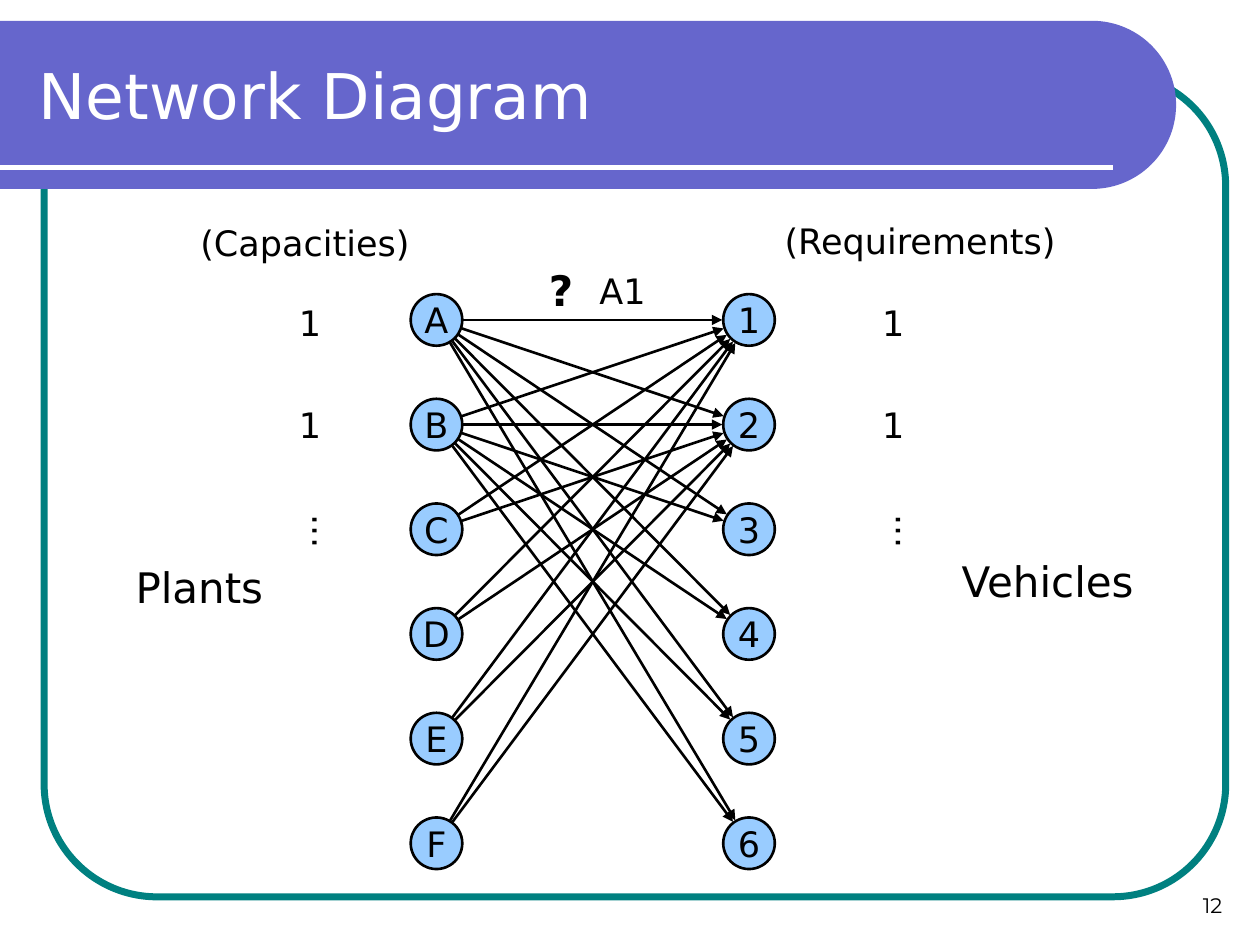
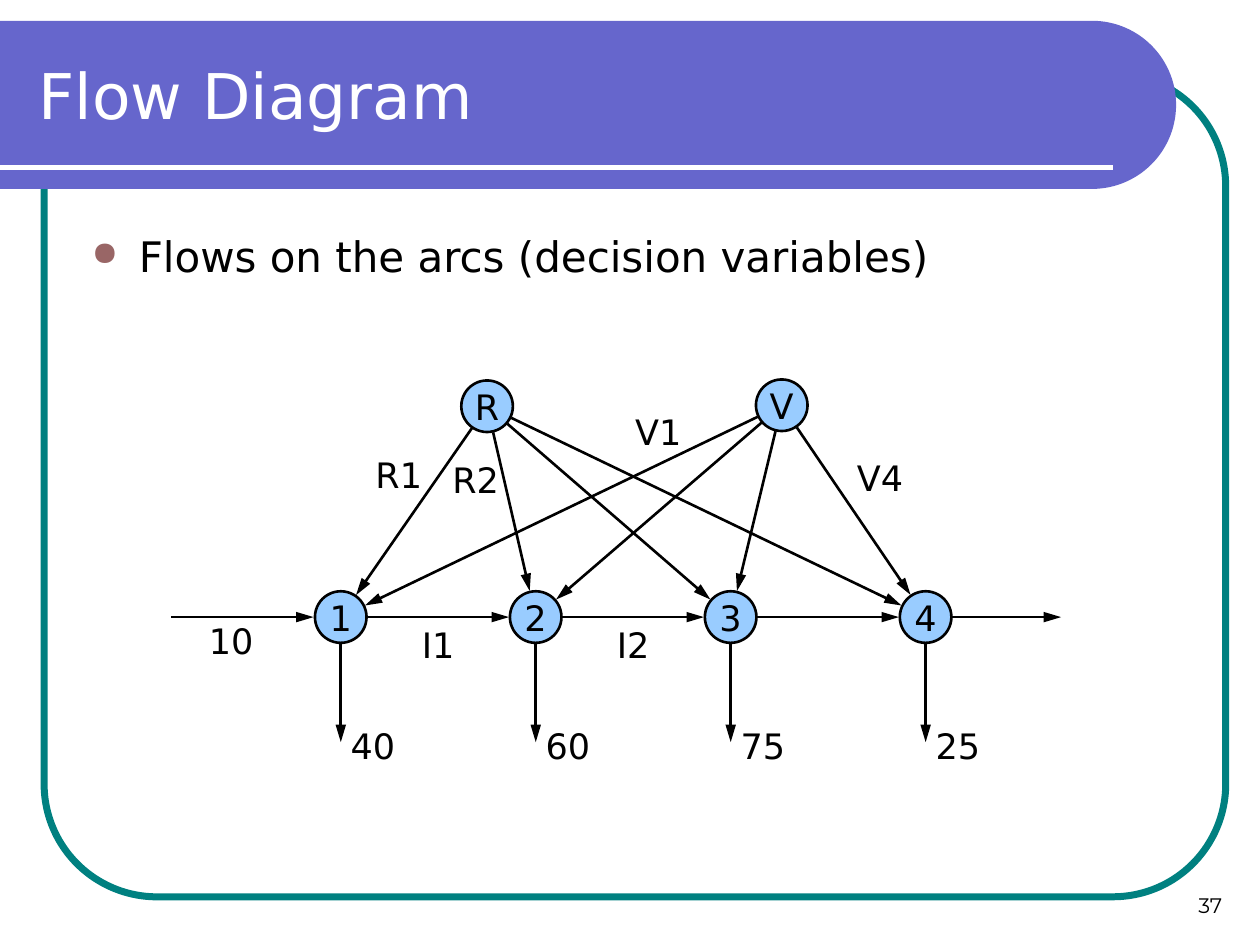
import math
from dataclasses import dataclass

from lxml import etree
from pptx import Presentation
from pptx import util as u
from pptx.dml.color import RGBColor
from pptx.enum import shapes, text
from pptx.oxml import ns

BODY_FONT, NUMBER_FONT = "DejaVu Sans", "Montserrat"
BLACK, WHITE = "000000", "FFFFFF"
BAND, FRAME, NODE, BULLET = "6666CC", "008080", "99CCFF", "996666"
NODE_SIZE = 1.04
NODE_GAP = 0.02  # space between a node and its arcs
CENTER = text.PP_ALIGN.CENTER
MIDDLE = text.MSO_ANCHOR.MIDDLE


@dataclass
class Box:
    """Region of a slide, in centimetres."""
    left: float
    top: float
    width: float
    height: float

    def at(self, x, y):
        return self.left + x, self.top + y


def color(value):
    return RGBColor.from_string(value)


def cm(*lengths):
    return [u.Cm(length) for length in lengths]


def paint(shape, fill=None, line=None, weight=1.5):
    shape.shadow.inherit = False
    if fill:
        shape.fill.solid()
        shape.fill.fore_color.rgb = color(fill)
    else:
        shape.fill.background()
    if line:
        shape.line.color.rgb = color(line)
        shape.line.width = u.Pt(weight)
    else:
        shape.line.fill.background()


def write(frame, words, size=20, ink=BLACK, font=BODY_FONT, bold=False, align=None):
    paragraph = frame.paragraphs[0]
    paragraph.alignment = align
    run = paragraph.add_run()
    run.text = words
    run.font.size = u.Pt(size)
    run.font.name = font
    run.font.bold = bold
    run.font.color.rgb = color(ink)
    return paragraph


def text_frame(slide, box, anchor=text.MSO_ANCHOR.TOP):
    frame = slide.shapes.add_textbox(
        *cm(box.left, box.top, box.width, box.height)).text_frame
    frame.word_wrap = True
    frame.vertical_anchor = anchor
    return frame


def label(slide, words, middle_top, width=1.6, size=20, bold=False):
    """One line of text centred on x, with its box starting at y."""
    x, y = middle_top
    frame = text_frame(slide, Box(x - width / 2, y, width, 1.1))
    write(frame, words, size, bold=bold, align=CENTER)


def line(slide, start, end, ink=BLACK, weight=1.5):
    connector = slide.shapes.add_connector(
        shapes.MSO_CONNECTOR.STRAIGHT, *cm(*start, *end))
    connector.line.color.rgb = color(ink)
    connector.line.width = u.Pt(weight)
    etree.SubElement(connector._element.spPr, ns.qn("a:effectLst"))
    return connector


def arrow(slide, start, end, head="med"):
    ln = line(slide, start, end).line._get_or_add_ln()
    etree.SubElement(ln, ns.qn("a:tailEnd"), type="triangle", w="med", len=head)


def arc(slide, start, end, head="med"):
    """Arrow between two node centres, cut off at the rims."""
    (x1, y1), (x2, y2) = start, end
    share = (NODE_SIZE / 2 + NODE_GAP) / math.dist(start, end)
    dx, dy = (x2 - x1) * share, (y2 - y1) * share
    arrow(slide, (x1 + dx, y1 + dy), (x2 - dx, y2 - dy), head)


def node(slide, name, center):
    x, y = center
    circle = slide.shapes.add_shape(
        shapes.MSO_SHAPE.OVAL,
        *cm(x - NODE_SIZE / 2, y - NODE_SIZE / 2, NODE_SIZE, NODE_SIZE))
    paint(circle, NODE, BLACK)
    circle.text_frame.word_wrap = False
    circle.text_frame.vertical_anchor = MIDDLE
    write(circle.text_frame, name, align=CENTER)


def title_band(slide, box):
    """Band with a half-round right end and a white rule."""
    radius = box.height / 2
    middle_x, middle_y = box.at(box.width - radius, radius)
    angles = [math.radians(degree) for degree in range(-90, 91, 3)]
    rim = [cm(middle_x + radius * math.cos(a), middle_y + radius * math.sin(a))
           for a in angles]
    outline = slide.shapes.build_freeform(*cm(box.left, box.top))
    outline.add_line_segments(rim + [cm(*box.at(0, box.height))], close=True)
    paint(outline.convert_to_shape(), BAND)
    line(slide, box.at(0, 2.96), box.at(22.43, 2.96), WHITE, 3)


def base_slide(deck, title, number):
    slide = deck.slides.add_slide(deck.slide_layouts[6])
    # Rounded frame behind the band
    frame = slide.shapes.add_shape(
        shapes.MSO_SHAPE.ROUNDED_RECTANGLE, *cm(0.89, 1.48, 23.82, 16.6))
    frame.adjustments[0] = 0.137
    paint(frame, line=FRAME, weight=4)
    title_band(slide, Box(0, 0.42, 23.71, 3.39))
    # Page number and title
    write(text_frame(slide, Box(18.97, 17.35, 5.92, 1.27), text.MSO_ANCHOR.BOTTOM),
          number, 12, font=NUMBER_FONT, align=text.PP_ALIGN.RIGHT)
    write(text_frame(slide, Box(0.53, 0.64, 22.28, 2.54), MIDDLE), title, 36, WHITE)
    return slide


def vertical_dots(slide, box):
    frame = text_frame(slide, box)
    frame._txBody.bodyPr.set("vert", "eaVert")
    write(frame, "···")


def network(slide, box):
    """Every plant on the left may serve every vehicle on the right."""
    first_y, pitch = 2.15, 2.11
    plants = {name: box.at(7.2, first_y + i * pitch) for i, name in enumerate("ABCDEF")}
    vehicles = {name: box.at(13.5, first_y + i * pitch) for i, name in enumerate("123456")}
    for name, center in (plants | vehicles).items():
        node(slide, name, center)

    # All arcs of A and B, and the first two of the other plants
    for plant, start in plants.items():
        for vehicle, end in vehicles.items():
            if plant in "AB" or vehicle in "12":
                arc(slide, start, end)

    # Headings
    label(slide, "(Capacities)", box.at(4.55, 0.04), 4.8)
    label(slide, "(Requirements)", box.at(16.95, 0), 6.2)
    label(slide, "Plants", box.at(2.42, 6.9), 4.8, 24)
    label(slide, "Vehicles", box.at(19.52, 6.77), 4.2, 24)
    label(slide, "?", box.at(9.71, 0.91), 1.6, 24, bold=True)
    label(slide, "A1", box.at(10.95, 1.01), 1.8)

    # Amounts beside the first rows
    for x in (4.65, 16.41):
        for y in (1.65, 3.7):
            label(slide, "1", box.at(x, y), 1.2)
        vertical_dots(slide, Box(*box.at(x - 0.67, 5.83), 1.35, 1.75))


def bullet(slide, box, words):
    paragraph = write(text_frame(slide, box), words, 24)
    properties = paragraph._p.get_or_add_pPr()
    properties.set("marL", str(u.Cm(0.95)))
    properties.set("indent", str(-u.Cm(0.95)))
    ink = etree.SubElement(properties, ns.qn("a:buClr"))
    etree.SubElement(ink, ns.qn("a:srgbClr"), val=BULLET)
    etree.SubElement(properties, ns.qn("a:buSzPct"), val="80000")
    etree.SubElement(properties, ns.qn("a:buChar"), char="●")


def flow(slide, box):
    """Two sources feed four periods, which pass stock to the next."""
    pitch, row_y = 3.93, 4.8
    period_x = [3.42 + i * pitch for i in range(4)]
    periods = [box.at(x, row_y) for x in period_x]
    sources = {"R": box.at(6.37, 0.55), "V": box.at(12.31, 0.53)}
    for i, center in enumerate(periods, 1):
        node(slide, str(i), center)

    # Supply arcs
    for name, start in sources.items():
        node(slide, name, start)
        for end in periods:
            arc(slide, start, end, "lg")
    for name, x, y in (("R1", 4.59, 1.38), ("R2", 6.14, 1.48),
                       ("V1", 9.82, 0.51), ("V4", 14.29, 1.43)):
        label(slide, name, box.at(x, y))

    # Stock arcs, with the opening and closing stock
    arrow(slide, box.at(0, row_y), box.at(2.87, row_y), "lg")
    label(slide, "10", box.at(1.21, 4.73))
    for start, end in zip(periods, periods[1:]):
        arc(slide, start, end, "lg")
    for name, x in zip(("I1", "I2"), period_x):
        label(slide, name, box.at(x + pitch / 2, 4.81))
    arrow(slide, box.at(15.75, row_y), box.at(box.width, row_y), "lg")

    # Demands
    for demand, x in zip(("40", "60", "75", "25"), period_x):
        arrow(slide, box.at(x, 5.31), box.at(x, 7.32), "lg")
        label(slide, demand, box.at(x + 0.65, 6.84))


def main():
    deck = Presentation()
    deck.slide_width, deck.slide_height = cm(25.4, 19.05)

    network(base_slide(deck, "Network Diagram", "12"), Box(1.6, 4.3, 21.6, 13.2))

    flow_slide = base_slide(deck, "Flow Diagram", "37")
    bullet(flow_slide, Box(1.6, 4.52, 22.2, 12.57), "Flows on the arcs (decision variables)")
    flow(flow_slide, Box(3.45, 7.64, 17.94, 7.94))

    deck.save("out.pptx")


if __name__ == "__main__":
    main()
